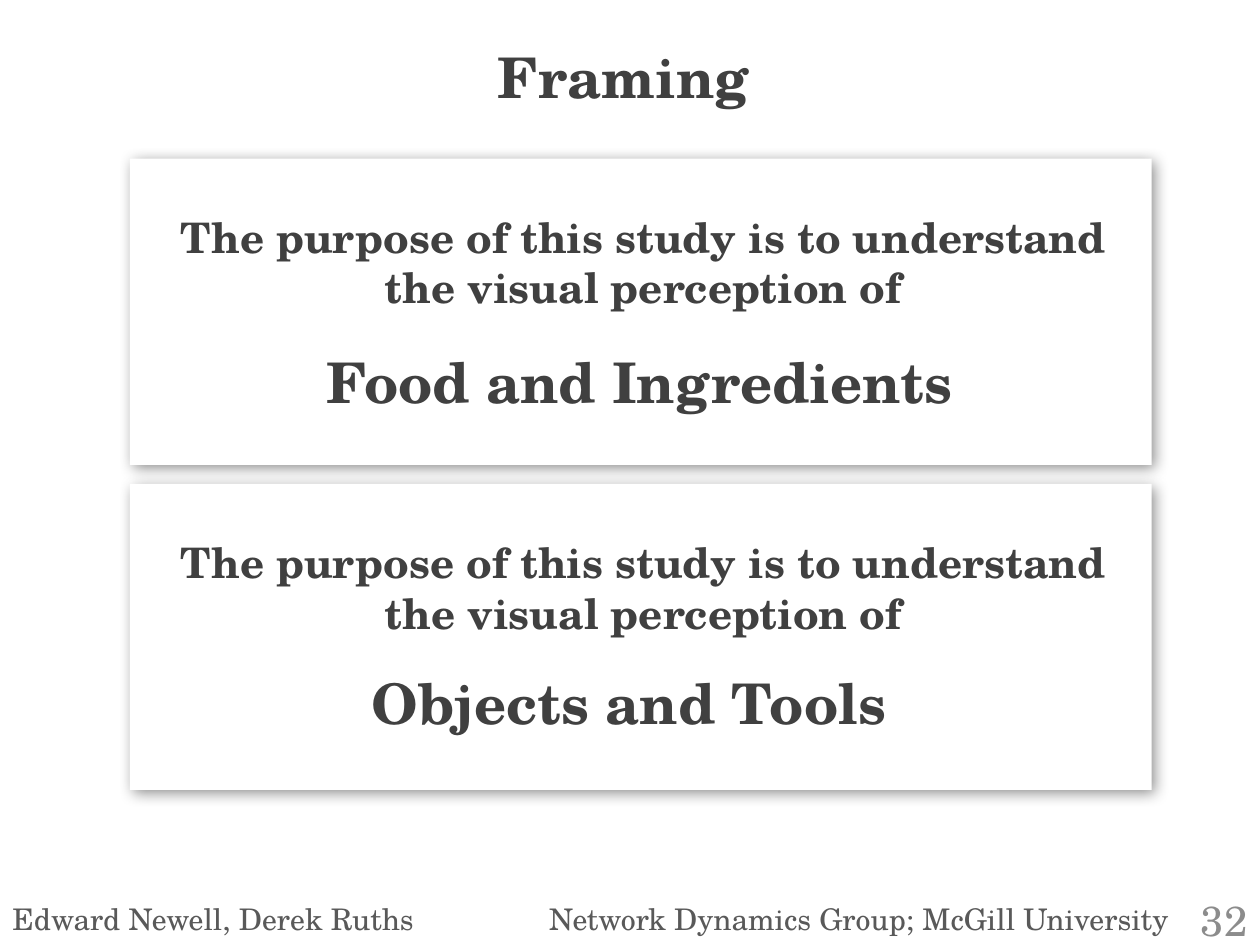
from lxml.etree import SubElement
from pptx import Presentation
from pptx.dml.color import RGBColor
from pptx.enum.shapes import MSO_SHAPE
from pptx.enum.text import MSO_ANCHOR as Anchor, PP_ALIGN as Align
from pptx.oxml.ns import qn
from pptx.util import Inches, Pt

# Content
TITLE = "Framing"
PURPOSE = "The purpose of this study is to understand the visual perception of"
FRAMINGS = [  # topic, left, top, width
    ("Food and Ingredients", 2.49, 2.71, 5.22),
    ("Objects and Tools", 2.85, 5.26, 4.55),
]
FOOTER = "Edward Newell, Derek Ruths\tNetwork Dynamics Group; McGill University"
PAGE_NUMBER = "32"

# Style and layout
FONT = "TeX Gyre Schola"
DARK, GREY, PALE = "404040", "595959", "8C8C8C"
CARD_LEFT, CARD_TOP, CARD_WIDTH, CARD_HEIGHT = 1.03, 1.26, 8.11, 2.43
CARD_PITCH = 2.58
AFFILIATION_TAB = 4.26


def rgb(value):
    return RGBColor.from_string(value)


def place(shape, left, top, width, height):
    shape.left, shape.top = Inches(left), Inches(top)
    shape.width, shape.height = Inches(width), Inches(height)


def write(text, box, *, holder=None, size=24, color=DARK, bold=True,
          align=Align.LEFT, anchor=Anchor.TOP, tab=None):
    if holder is None:
        holder = slide.shapes.add_textbox(0, 0, 0, 0)
    place(holder, *box)
    frame = holder.text_frame
    frame.word_wrap = True
    frame.vertical_anchor = anchor
    paragraph = frame.paragraphs[0]
    paragraph.text = text
    paragraph.alignment = align
    if tab is not None:
        tabs = SubElement(paragraph._p.get_or_add_pPr(), qn("a:tabLst"))
        SubElement(tabs, qn("a:tab"), pos=str(Inches(tab)), algn="l")
    for run in paragraph.runs:
        font = run.font
        font.name, font.size, font.bold = FONT, Pt(size), bold
        font.color.rgb = rgb(color)


def add_card(top):
    card = slide.shapes.add_shape(
        MSO_SHAPE.RECTANGLE, Inches(CARD_LEFT), Inches(top),
        Inches(CARD_WIDTH), Inches(CARD_HEIGHT))
    card.fill.solid()
    card.fill.fore_color.rgb = rgb("FFFFFF")
    card.line.fill.background()
    # Soft shadow towards the lower right
    card.shadow.inherit = False
    effects = card._element.spPr.find(qn("a:effectLst"))
    shadow = SubElement(effects, qn("a:outerShdw"), blurRad=str(Pt(8.8)),
                        dist=str(Pt(3)), dir=str(45 * 60000),
                        algn="tl", rotWithShape="0")
    black = SubElement(shadow, qn("a:srgbClr"), val="000000")
    SubElement(black, qn("a:alpha"), val="43000")


prs = Presentation()
prs.slide_width, prs.slide_height = Inches(10), Inches(7.5)
slide = prs.slides.add_slide(prs.slide_layouts[5])

# Title
write(TITLE, (2.85, 0.29, 4.19, 0.64), holder=slide.shapes.title,
      size=32, align=Align.CENTER)

# One card per framing
for index, (topic, left, topic_top, width) in enumerate(FRAMINGS):
    top = CARD_TOP + index * CARD_PITCH
    add_card(top)
    write(PURPOSE, (1.32, top + 0.37, 7.57, 0.91), align=Align.CENTER)
    write(topic, (left, topic_top, width, 0.64), size=32)

# Footer
write(FOOTER, (0, 7.1, 9.55, 0.39), size=17, color=GREY, bold=False,
      tab=AFFILIATION_TAB)
write(PAGE_NUMBER, (9.33, 7.1, 0.67, 0.4), color=PALE, bold=False,
      align=Align.RIGHT, anchor=Anchor.MIDDLE)

prs.save("out.pptx")
